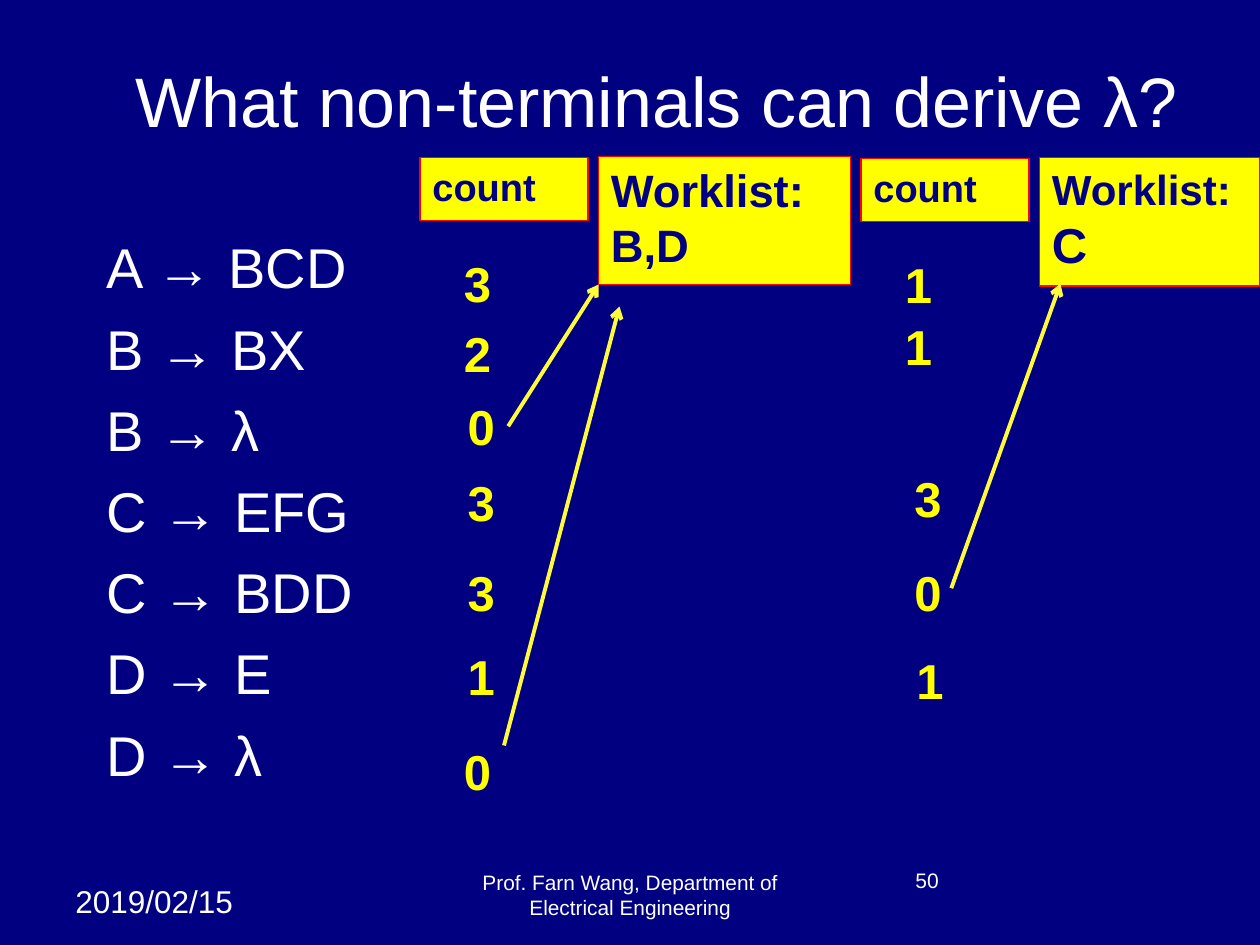
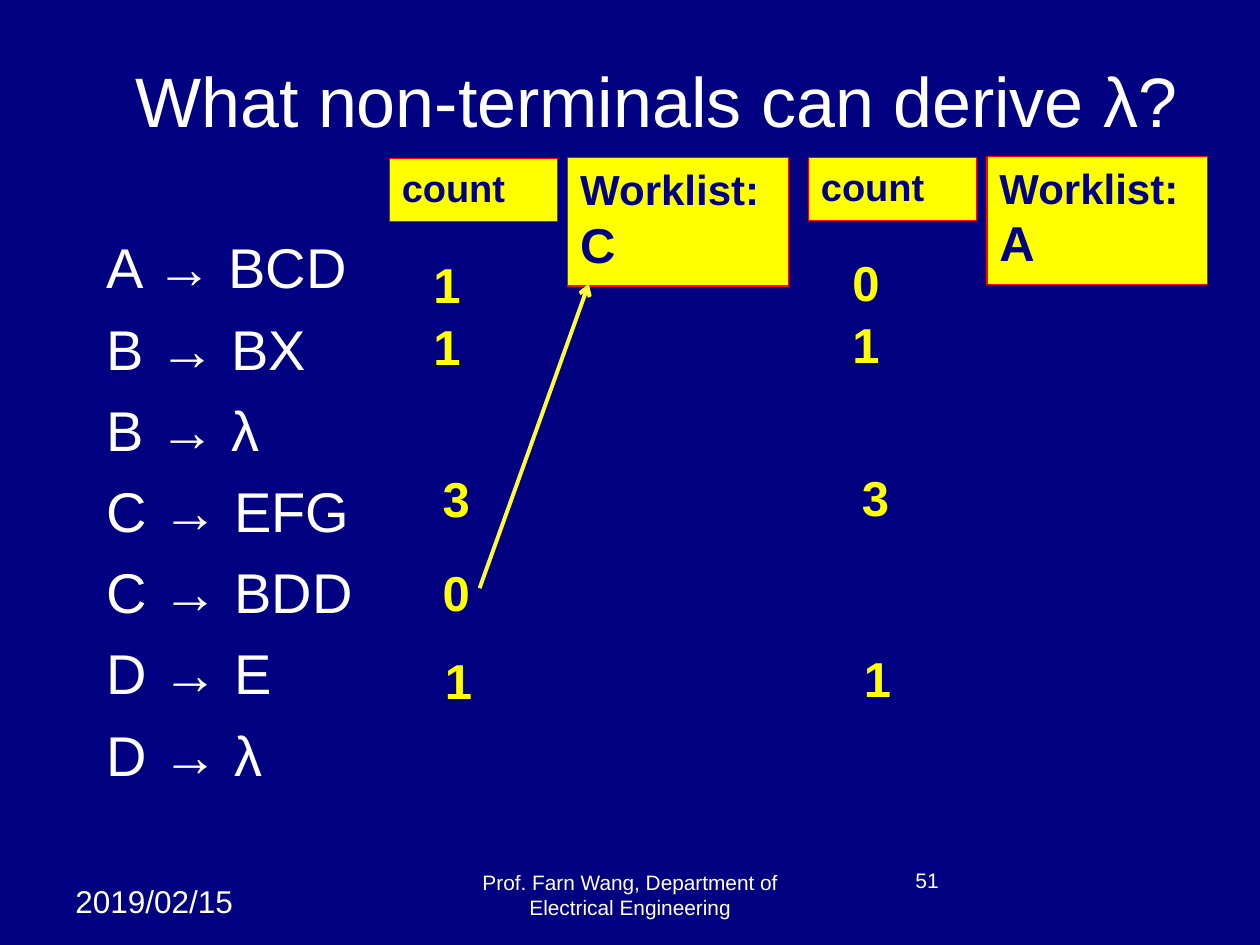
from dataclasses import dataclass

from lxml.etree import SubElement
from pptx import Presentation
from pptx.dml.color import RGBColor
from pptx.enum.shapes import MSO_CONNECTOR, MSO_SHAPE
from pptx.enum.text import MSO_ANCHOR, MSO_AUTO_SIZE, PP_ALIGN
from pptx.oxml.ns import qn
from pptx.util import Inches, Pt

COLUMNS, ROWS = 120, 90


@dataclass(frozen=True)
class Theme:
    font: str = "Arial"
    navy: str = "000080"
    white: str = "FFFFFF"
    yellow: str = "FFFF00"
    red: str = "FF0000"
    arrow: str = "FFFB3B"
    title: float = 40
    rule: float = 32
    number: float = 28
    count: float = 21.7
    date: float = 18
    page: float = 12
    footer: float = 11.9
    border: float = 0.75
    arrow_width: float = 2.25


THEME = Theme()


def write(frame, text, sizes, color=THEME.white, bold=False, align=PP_ALIGN.LEFT,
          anchor=MSO_ANCHOR.TOP, gap=0, wrap=True, fit=MSO_AUTO_SIZE.NONE):
    """Fill a text frame, one paragraph a line; sizes is one size or one per line."""
    lines = text.split("\n")
    if not isinstance(sizes, tuple):
        sizes = (sizes,) * len(lines)
    frame.word_wrap, frame.auto_size, frame.vertical_anchor = wrap, fit, anchor
    for index, (line, size) in enumerate(zip(lines, sizes)):
        paragraph = frame.add_paragraph() if index else frame.paragraphs[0]
        paragraph.alignment = align
        paragraph.space_before = Pt(gap if index else 0)
        run = paragraph.add_run()
        run.text = line
        run.font.name, run.font.size, run.font.bold = THEME.font, Pt(size), bold
        run.font.color.rgb = RGBColor.from_string(color)


class Deck:
    """Holds the theme and the current slide; lengths are grid columns and rows."""

    def __init__(self, theme):
        self.theme = theme
        self.presentation = Presentation()
        self.presentation.slide_width = Inches(10)
        self.presentation.slide_height = Inches(7.5)
        background = self.presentation.slide_master.background.fill
        background.solid()
        background.fore_color.rgb = RGBColor.from_string(theme.navy)
        self.slide = None

    def place(self, *lengths):
        units = (self.presentation.slide_width / COLUMNS,
                 self.presentation.slide_height / ROWS)
        return [round(length * units[i % 2]) for i, length in enumerate(lengths)]

    def start(self, title, page):
        self.slide = self.presentation.slides.add_slide(
            self.presentation.slide_layouts[5])
        heading = self.slide.shapes.title
        heading.left, heading.top, heading.width, heading.height = self.place(9, 5, 107, 9)
        write(heading.text_frame, title, self.theme.title,
              align=PP_ALIGN.CENTER, anchor=MSO_ANCHOR.MIDDLE)
        # Footer row
        self.text("2019/02/15", (6, 83.4, 19, 4.8), self.theme.date)
        self.text("Prof. Farn Wang, Department of Electrical Engineering",
                  (41, 82, 38, 6.2), self.theme.footer,
                  align=PP_ALIGN.CENTER, anchor=MSO_ANCHOR.BOTTOM)
        self.text(str(page), (86, 82, 28, 6.2), self.theme.page)

    def text(self, text, area, size, **style):
        box = self.slide.shapes.add_textbox(*self.place(*area))
        write(box.text_frame, text, size, **style)

    def label(self, text, area, sizes):
        card = self.slide.shapes.add_shape(MSO_SHAPE.RECTANGLE, *self.place(*area))
        card.shadow.inherit = False
        card.fill.solid()
        card.fill.fore_color.rgb = RGBColor.from_string(self.theme.yellow)
        card.line.color.rgb = RGBColor.from_string(self.theme.red)
        card.line.width = Pt(self.theme.border)
        write(card.text_frame, text, sizes, color=self.theme.navy, bold=True)

    def arrow(self, start, end):
        link = self.slide.shapes.add_connector(
            MSO_CONNECTOR.STRAIGHT, *self.place(*start, *end))
        link.line.color.rgb = RGBColor.from_string(self.theme.arrow)
        link.line.width = Pt(self.theme.arrow_width)
        properties = link.line._get_or_add_ln()
        SubElement(properties, qn("a:tailEnd"), type="arrow")
        SubElement(link._element.spPr, qn("a:effectLst"))

    def step(self, left, top, counts, worklist, sizes, width=21, arrows=()):
        """One step of the algorithm: counts, worklist and what enters it."""
        self.label("count", (left, top, 16, 6), self.theme.count)
        for number, (across, down) in counts:
            self.text(number, (left + across, top + down, 4.92, 6.84),
                      self.theme.number, color=self.theme.yellow, bold=True,
                      wrap=False, fit=MSO_AUTO_SIZE.SHAPE_TO_FIT_TEXT)
        self.label(f"Worklist:\n{worklist}", (left + 17, top - 0.12, width, 12.24), sizes)
        for (x1, y1), (x2, y2) in arrows:
            self.arrow((left + x1, top + y1), (left + x2, top + y2))


TITLE = "What non-terminals can derive λ?"
RULES = "A → BCD\nB → BX\nB → λ\nC → EFG\nC → BDD\nD → E\nD → λ"

# Places of the counts within a step, as columns and rows from its corner
FIRST_PLACES = [(3, 8.6), (3, 15.2), (3.36, 22.2), (3.36, 29.4),
                (3.36, 38), (3.36, 46), (3, 55)]
A_BCD, B_BX, C_EFG, C_BDD, D_E = [(3, 8.5), (3, 14.4), (3.9, 28.9),
                                  (3.9, 37.9), (4.1, 46.2)]

INITIAL = dict(counts=list(zip("3203310", FIRST_PLACES)), worklist="B,D",
               sizes=25.9, width=24,
               arrows=[((8.4, 25.6), (17, 12.1)), ((8, 56), (19, 14.2))])
AFTER_B_D = dict(counts=list(zip("11301", (A_BCD, B_BX, C_EFG, C_BDD, D_E))),
                 worklist="C", sizes=(24, 28),
                 arrows=[((8.6, 40.9), (19, 11.9))])
AFTER_C = dict(counts=list(zip("0131", (A_BCD, B_BX, C_EFG, D_E))),
               worklist="A", sizes=(24, 28))

# Each slide sets two successive steps side by side: left, top, step
SLIDES = [[(40, 15, INITIAL), (82, 15.12, AFTER_B_D)],
          [(37.08, 15.12, AFTER_B_D), (77, 15, AFTER_C)]]


def main():
    deck = Deck(THEME)
    for page, steps in enumerate(SLIDES, start=50):
        deck.start(TITLE, page)
        deck.text(RULES, (9, 21.6, 103, 55), THEME.rule, gap=8)
        for left, top, step in steps:
            deck.step(left, top, **step)
    deck.presentation.save("out.pptx")


if __name__ == "__main__":
    main()
